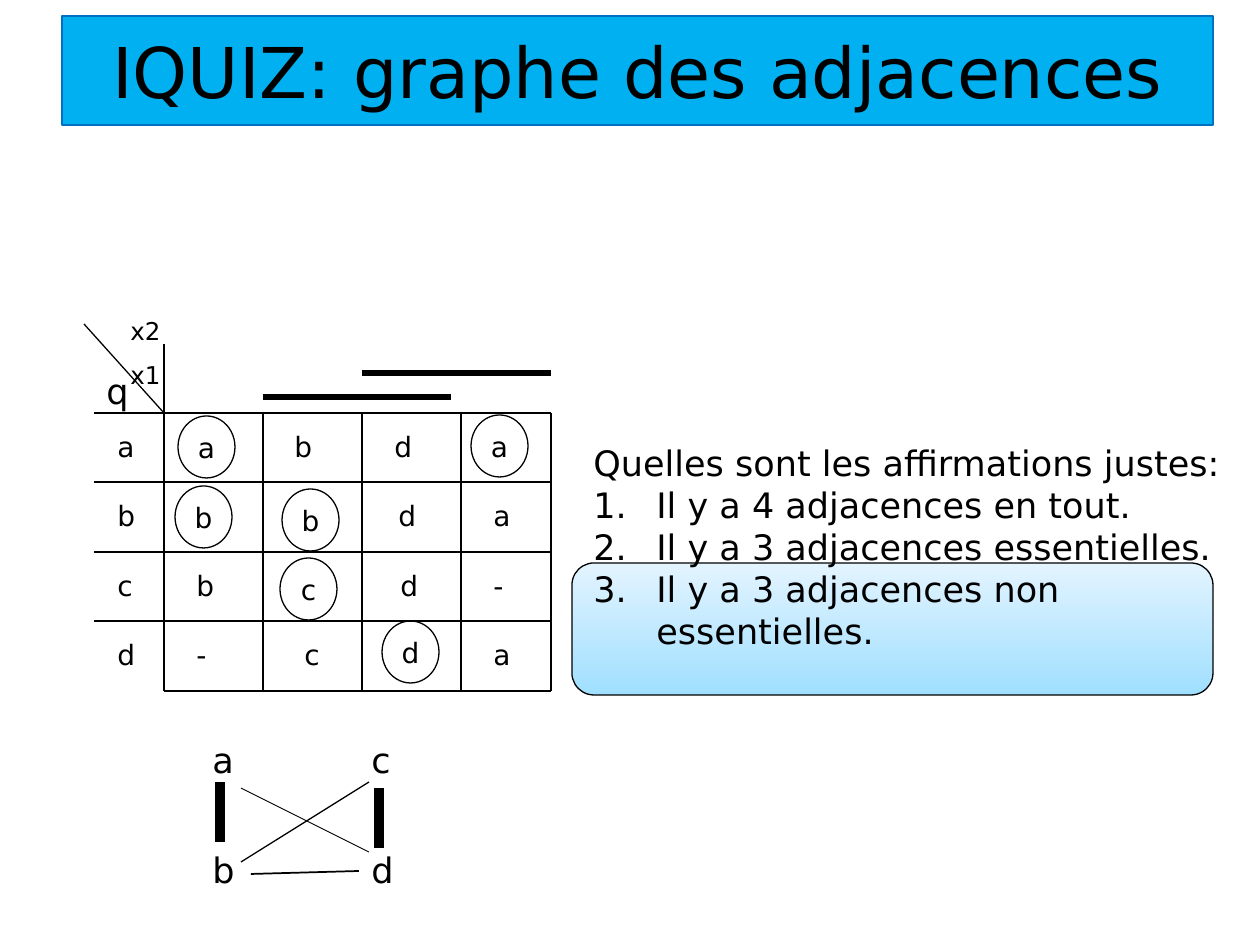
from dataclasses import dataclass
from typing import Optional

import pptx
import pptx.dml.color
import pptx.enum.shapes
import pptx.enum.text
import pptx.oxml.ns
import pptx.util
from lxml import etree

SHAPE = pptx.enum.shapes.MSO_SHAPE
ALIGN = pptx.enum.text.PP_ALIGN
ANCHOR = pptx.enum.text.MSO_ANCHOR


@dataclass(frozen=True)
class Theme:
    font: str = "DejaVu Sans"
    ink: str = "000000"
    title_fill: str = "00B0F0"
    title_line: str = "0070C0"
    answer_bottom: str = "A0DFFF"
    answer_top: str = "E3F4FF"
    title: int = 40
    body: int = 20
    cell: int = 16
    small: int = 14
    thin: float = 0.75
    bar: int = 3
    essential: int = 6


@dataclass(frozen=True)
class Box:
    x: int
    y: int
    w: int
    h: int


@dataclass(frozen=True)
class Line:
    x1: int
    y1: int
    x2: int
    y2: int
    width: float = 0.75


@dataclass(frozen=True)
class Cell:
    text: str
    row: int
    x: int


@dataclass(frozen=True)
class StableState:
    text: str
    x: int
    y: int


T = Theme()

ROWS = [round(413 + 69.4 * i) for i in range(5)]
COLUMNS = [164, 263, 362, 461, 551]
ROW_LABEL_X = 105

CELLS = [
    Cell("b", 0, 282), Cell("d", 0, 382),
    Cell("d", 1, 386), Cell("a", 1, 481),
    Cell("b", 2, 184), Cell("d", 2, 388), Cell("-", 2, 481),
    Cell("-", 3, 184), Cell("c", 3, 292), Cell("a", 3, 481),
]
STABLE_STATES = [
    StableState("a", 178, 416), StableState("a", 471, 415),
    StableState("b", 175, 486), StableState("b", 282, 489),
    StableState("c", 280, 558), StableState("d", 382, 621),
]
INPUT_BARS = [
    Line(362, 373, 551, 373, T.bar),
    Line(263, 397, 451, 397, T.bar),
]
NODES = {"a": (200, 732), "c": (359, 732), "b": (200, 842), "d": (359, 842)}
EDGES = [
    Line(220, 842, 220, 782, T.essential),
    Line(379, 848, 379, 788, T.essential),
    Line(251, 874, 359, 871, 1),
    Line(241, 862, 369, 782),
    Line(241, 788, 369, 852, 0.5),
]
STATEMENTS = [
    "Il y a 4 adjacences en tout.",
    "Il y a 3 adjacences essentielles.",
    "Il y a 3 adjacences non essentielles.",
]


def px(n: int) -> int:
    return round(n * 914400 / 126)


def rgb(value: str):
    return pptx.dml.color.RGBColor.from_string(value)


def add_line(slide, line: Line) -> None:
    cx = slide.shapes.add_connector(
        pptx.enum.shapes.MSO_CONNECTOR.STRAIGHT,
        px(line.x1), px(line.y1), px(line.x2), px(line.y2))
    cx.line.color.rgb = rgb(T.ink)
    cx.line.width = pptx.util.Pt(line.width)
    etree.SubElement(cx._element.spPr, pptx.oxml.ns.qn("a:effectLst"))


def add_shape(slide, kind, box: Box, *, fill: Optional[str] = None, line: str = T.ink):
    sp = slide.shapes.add_shape(kind, px(box.x), px(box.y), px(box.w), px(box.h))
    sp.shadow.inherit = False
    if fill:
        sp.fill.solid()
        sp.fill.fore_color.rgb = rgb(fill)
    else:
        sp.fill.background()
    sp.line.color.rgb = rgb(line)
    sp.line.width = pptx.util.Pt(T.thin)
    return sp


def number_paragraph(p) -> None:
    pPr = p._p.get_or_add_pPr()
    indent = pptx.util.Inches(0.5)
    pPr.set("marL", str(indent))
    pPr.set("indent", str(-indent))
    bullet = etree.SubElement(pPr, pptx.oxml.ns.qn("a:buAutoNum"))
    bullet.set("type", "arabicPeriod")


def write(tf, *texts: str, size: int, align=ALIGN.LEFT, anchor=ANCHOR.TOP,
          wrap: bool = True, gap: int = 0, numbered: bool = False) -> None:
    """Fill a text frame; numbered applies to every paragraph after the first."""
    tf.word_wrap = wrap
    tf.vertical_anchor = anchor
    for i, text in enumerate(texts):
        p = tf.add_paragraph() if i else tf.paragraphs[0]
        if i and numbered:
            number_paragraph(p)
        if i and gap:
            p.space_before = pptx.util.Pt(gap)
        p.alignment = align
        r = p.add_run()
        r.text = text
        r.font.name = T.font
        r.font.size = pptx.util.Pt(size)
        r.font.color.rgb = rgb(T.ink)


def add_text(slide, box: Box, *texts: str, **style) -> None:
    sp = slide.shapes.add_textbox(px(box.x), px(box.y), px(box.w), px(box.h))
    write(sp.text_frame, *texts, **style)


def add_answer_frame(slide) -> None:
    sp = add_shape(slide, SHAPE.ROUNDED_RECTANGLE, Box(572, 563, 641, 132))
    sp.fill.gradient()
    sp.fill.gradient_angle = 90
    for stop, color in zip(sp.fill.gradient_stops, (T.answer_bottom, T.answer_top)):
        stop.color.rgb = rgb(color)


def add_state_table(slide) -> None:
    left, right = COLUMNS[0], COLUMNS[-1]
    top, bottom = ROWS[0], ROWS[-1]
    for x in COLUMNS:
        add_line(slide, Line(x, 344 if x == left else top, x, bottom))
    for y in ROWS:
        add_line(slide, Line(left if y == bottom else 94, y, right, y))
    add_line(slide, Line(left, top, 84, 324))
    for bar in INPUT_BARS:
        add_line(slide, bar)
    add_text(slide, Box(118, 310, 59, 86), "x2", "x1", size=T.small, gap=8)
    add_text(slide, Box(94, 363, 49, 54), "q", size=T.body)

    row_labels = [Cell(state, i, ROW_LABEL_X) for i, state in enumerate("abcd")]
    for cell in row_labels + CELLS:
        add_text(slide, Box(cell.x, ROWS[cell.row] + 10, 40, 47), cell.text, size=T.cell)
    for state in STABLE_STATES:
        sp = add_shape(slide, SHAPE.OVAL, Box(state.x, state.y, 57, 62))
        write(sp.text_frame, state.text, size=T.cell, align=ALIGN.CENTER,
              anchor=ANCHOR.MIDDLE, wrap=False)


def add_adjacency_graph(slide) -> None:
    for name, (x, y) in NODES.items():
        add_text(slide, Box(x, y, 79, 55), name, size=T.body)
    for edge in EDGES:
        add_line(slide, edge)


def main() -> None:
    prs = pptx.Presentation()
    prs.slide_width, prs.slide_height = px(1260), px(945)
    slide = prs.slides.add_slide(prs.slide_layouts[6])

    add_answer_frame(slide)
    add_state_table(slide)
    add_adjacency_graph(slide)
    title = add_shape(slide, SHAPE.RECTANGLE, Box(62, 16, 1151, 109),
                      fill=T.title_fill, line=T.title_line)
    write(title.text_frame, "IQUIZ: graphe des adjacences", size=T.title,
          align=ALIGN.CENTER, anchor=ANCHOR.MIDDLE)
    add_text(slide, Box(581, 435, 664, 310), "Quelles sont les affirmations justes:",
             *STATEMENTS, size=T.body, numbered=True)
    prs.save("out.pptx")


if __name__ == "__main__":
    main()
